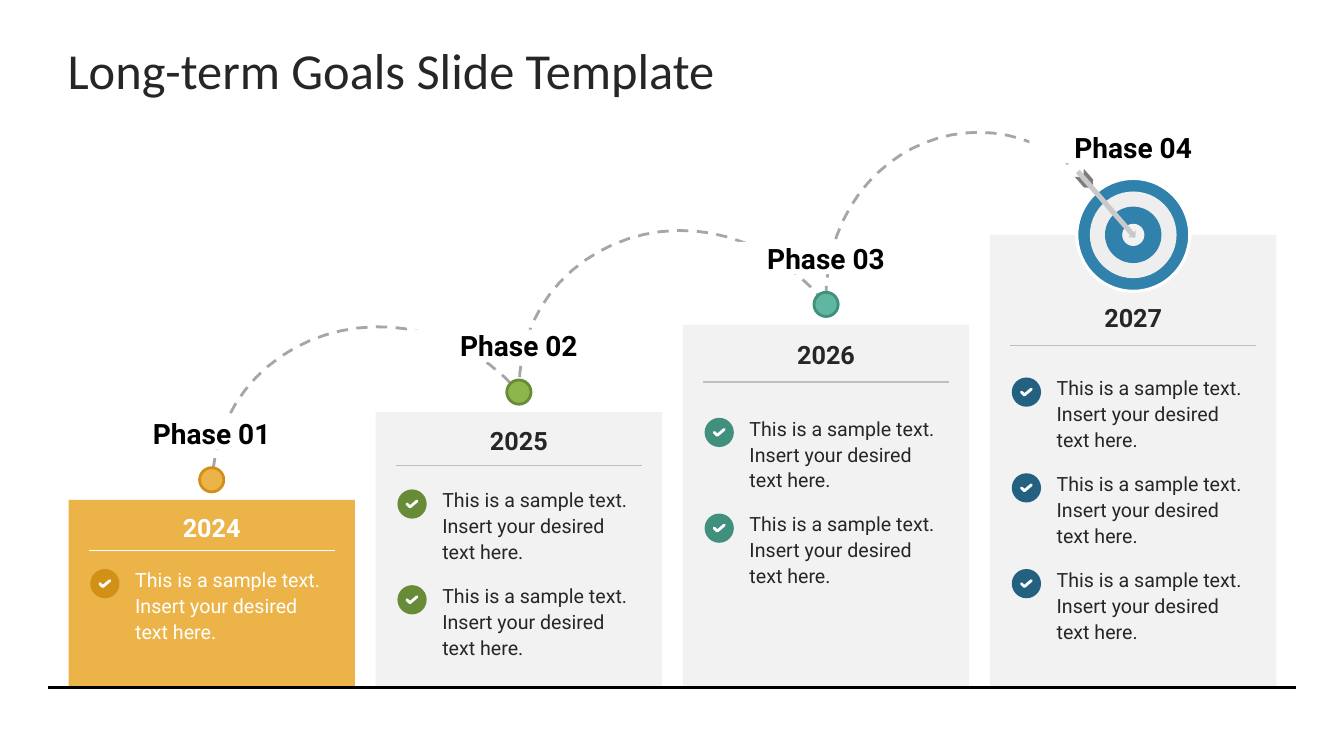
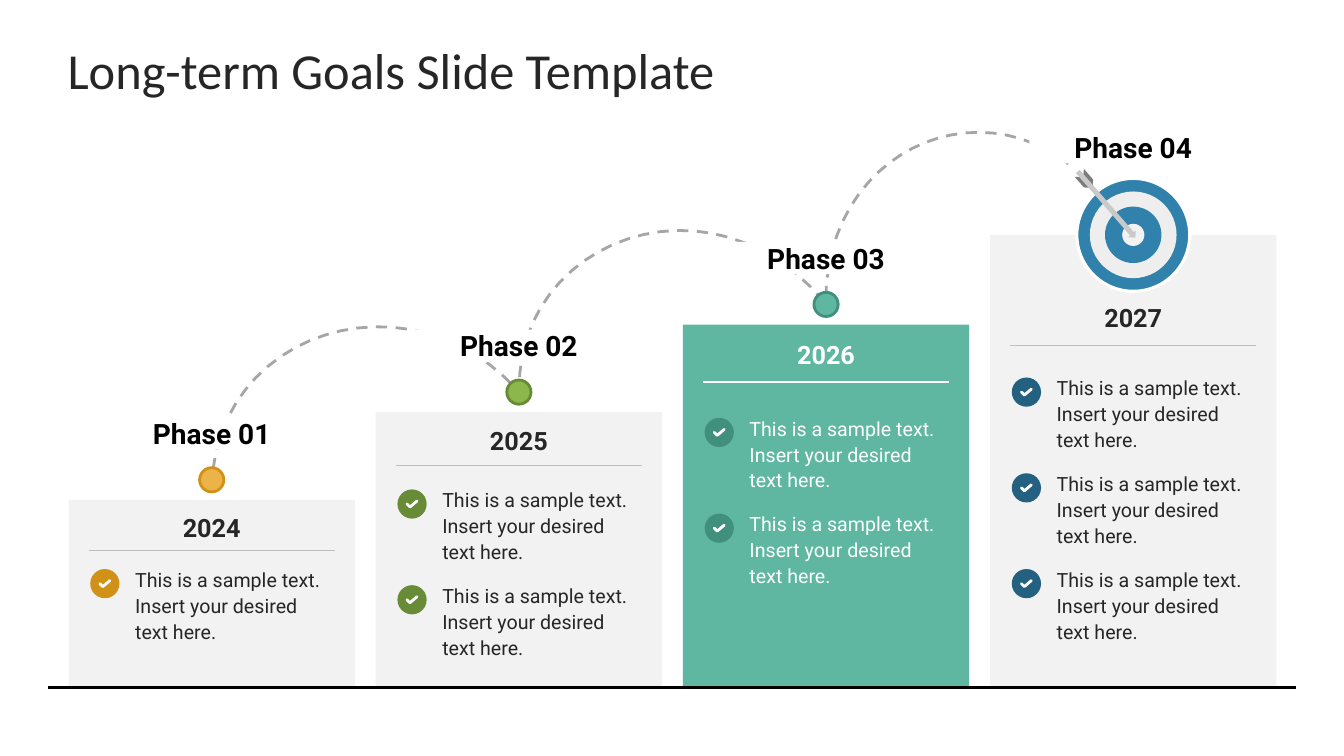
from collections import namedtuple

from lxml.etree import SubElement
from pptx import Presentation
from pptx.dml.color import RGBColor
from pptx.enum.dml import MSO_LINE
from pptx.enum.shapes import MSO_CONNECTOR, MSO_SHAPE
from pptx.enum.text import MSO_ANCHOR, MSO_AUTO_SIZE, PP_ALIGN
from pptx.oxml.ns import qn
from pptx.util import Inches, Pt

# Shared colours and fonts
WHITE = RGBColor(0xFF, 0xFF, 0xFF)
BLACK = RGBColor(0x00, 0x00, 0x00)
INK = RGBColor(0x26, 0x26, 0x26)
PANEL = RGBColor(0xF2, 0xF2, 0xF2)
RULE = RGBColor(0xBF, 0xBF, 0xBF)
TRAIL = RGBColor(0xA6, 0xA6, 0xA6)
RING = RGBColor(0xEE, 0xEE, 0xEE)
SHAFT = RGBColor(0xC9, 0xC9, 0xC9)
FLETCHING = RGBColor(0x7C, 0x7C, 0x7C)
AMBER, DARK_AMBER = RGBColor(0xEC, 0xB4, 0x48), RGBColor(0xD1, 0x91, 0x16)
GREEN, DARK_GREEN = RGBColor(0x8B, 0xB7, 0x4C), RGBColor(0x68, 0x8B, 0x38)
TEAL, DARK_TEAL = RGBColor(0x5F, 0xB7, 0xA2), RGBColor(0x41, 0x90, 0x7D)
BLUE, DARK_BLUE = RGBColor(0x30, 0x81, 0xAC), RGBColor(0x24, 0x61, 0x81)
TITLE_FONT, BODY_FONT = "Calibri", "Roboto"

# Column grid, in inches
SLIDE_W, SLIDE_H = 13.33, 7.5
FIRST_LEFT, LAST_RIGHT = 0.68, 12.66
CARD_W = 2.84
COLUMN_STEP = (LAST_RIGHT - FIRST_LEFT - CARD_W) / 3
BASELINE = 6.82
CARD_PAD = 0.2
GOAL_STEP = 0.95

TITLE = "Long-term Goals Slide Template"
GOAL = "This is a sample text. Insert your desired text here."

# Year, rule and goals are measured down from the top of the card
Phase = namedtuple("Phase", "label year top year_at rule_at goals_at goals accent dark")
PHASES = [
    Phase("Phase 01", "2024", 4.96, 0.12, 0.50, 0.65, 1, AMBER, DARK_AMBER),
    Phase("Phase 02", "2025", 4.09, 0.13, 0.53, 0.73, 2, GREEN, DARK_GREEN),
    Phase("Phase 03", "2026", 3.22, 0.15, 0.57, 0.89, 2, TEAL, DARK_TEAL),
    Phase("Phase 04", "2027", 2.33, 0.67, 1.10, 1.38, 3, BLUE, DARK_BLUE),
]

# Each hop: start, two control points, end
HOPS = [
    [(2.10, 4.85), (2.12, 3.29), (4.06, 2.66), (5.15, 3.89)],
    [(5.15, 3.89), (5.11, 2.39), (7.05, 1.63), (8.19, 3.01)],
    [(8.19, 3.01), (8.18, 1.52), (9.67, 0.85), (10.64, 1.66)],
]
HOP_STEPS = 24


def add_solid(shapes, preset, left, top, width, height, fill, line=None, line_pt=2):
    solid = shapes.add_shape(preset, Inches(left), Inches(top), Inches(width), Inches(height))
    solid.shadow.inherit = False
    solid.fill.solid()
    solid.fill.fore_color.rgb = fill
    if line is None:
        solid.line.fill.background()
    else:
        solid.line.color.rgb = line
        solid.line.width = Pt(line_pt)
    return solid


def add_disc(shapes, center_x, center_y, size, fill, line=None, line_pt=2):
    return add_solid(shapes, MSO_SHAPE.OVAL, center_x - size / 2, center_y - size / 2,
                     size, size, fill, line, line_pt)


def add_rule(shapes, left, right, y, color, width):
    rule = shapes.add_connector(MSO_CONNECTOR.STRAIGHT, Inches(left), Inches(y),
                                Inches(right), Inches(y))
    rule.line.color.rgb = color
    rule.line.width = Pt(width)
    SubElement(rule._element.spPr, qn("a:effectLst"))


def add_path(shapes, points, color):
    start, *rest = [(Inches(x), Inches(y)) for x, y in points]
    builder = shapes.build_freeform(*start)
    builder.add_line_segments(rest, close=False)
    outline = builder.convert_to_shape()
    outline.shadow.inherit = False
    outline.fill.background()
    outline.line.color.rgb = color
    outline.line.width = Pt(2)
    return outline


def set_text(holder, text, size, color, font=BODY_FONT, bold=False,
             align=PP_ALIGN.LEFT, anchor=MSO_ANCHOR.TOP, inset_y=0):
    frame = holder.text_frame
    frame.text = text
    frame.word_wrap = True
    frame.auto_size = MSO_AUTO_SIZE.NONE
    frame.vertical_anchor = anchor
    frame.margin_left = frame.margin_right = 0
    frame.margin_top = frame.margin_bottom = Inches(inset_y)
    paragraph = frame.paragraphs[0]
    paragraph.alignment = align
    run_font = paragraph.runs[0].font
    run_font.name, run_font.size, run_font.bold = font, Pt(size), bold
    run_font.color.rgb = color
    return paragraph


def add_text(shapes, left, top, width, height, *args, **style):
    box = shapes.add_textbox(Inches(left), Inches(top), Inches(width), Inches(height))
    return set_text(box, *args, **style)


def add_title(slide):
    title = slide.shapes.title
    title.left, title.top = Inches(0.67), Inches(0.3)
    title.width, title.height = Inches(12), Inches(0.78)
    set_text(title, TITLE, 36, INK, font=TITLE_FONT, anchor=MSO_ANCHOR.MIDDLE, inset_y=0.07)


def add_trail(slide):
    points = [HOPS[0][0]]
    for hop in HOPS:
        for step in range(1, HOP_STEPS + 1):
            t = step / HOP_STEPS
            weights = ((1 - t) ** 3, 3 * t * (1 - t) ** 2, 3 * t ** 2 * (1 - t), t ** 3)
            points.append(tuple(sum(w * p[axis] for w, p in zip(weights, hop))
                                for axis in (0, 1)))
    trail = add_path(slide.shapes, points, TRAIL)
    trail.line.dash_style = MSO_LINE.DASH


def add_goal(slide, left, top, text_color, badge_color):
    parts = slide.shapes.add_group_shape().shapes
    text = add_text(parts, left + 0.45, top, 1.98, 0.79, GOAL, 14, text_color)
    text.line_spacing = 1.1
    # Badge with tick
    x, y = left + 0.15, top + 0.18
    add_disc(parts, x, y, 0.29, badge_color)
    tick = add_path(parts, [(x + 0.05, y - 0.03), (x - 0.02, y + 0.03), (x - 0.05, y)], WHITE)
    tick.line._get_or_add_ln().set("cap", "rnd")


def add_card(slide, phase, left, highlighted):
    shapes = slide.shapes
    fill, ink, rule = (phase.accent, WHITE, WHITE) if highlighted else (PANEL, INK, RULE)
    add_solid(shapes, MSO_SHAPE.RECTANGLE, left, phase.top, CARD_W, BASELINE - phase.top, fill)
    add_text(shapes, left + 0.32, phase.top + phase.year_at, CARD_W - 0.64, 0.3, phase.year,
             18, ink, bold=True, align=PP_ALIGN.CENTER, anchor=MSO_ANCHOR.MIDDLE)
    add_rule(shapes, left + CARD_PAD, left + CARD_W - CARD_PAD,
             phase.top + phase.rule_at, rule, 0.75)
    for row in range(phase.goals):
        add_goal(slide, left + CARD_PAD + 0.01, phase.top + phase.goals_at + row * GOAL_STEP,
                 ink, phase.dark)


def add_phase_label(slide, label, center_x, top):
    width = 2.06
    plate = add_solid(slide.shapes, MSO_SHAPE.RECTANGLE, center_x - width / 2, top,
                      width, 0.32, WHITE)
    set_text(plate, label, 20, BLACK, bold=True, align=PP_ALIGN.CENTER,
             anchor=MSO_ANCHOR.MIDDLE)


def add_target(slide, center_x, center_y):
    rings = slide.shapes.add_group_shape().shapes
    add_disc(rings, center_x, center_y, 1.12, BLUE, WHITE, 2.25)
    for size, color in ((0.86, RING), (0.56, BLUE), (0.22, PANEL)):
        add_disc(rings, center_x, center_y, size, color)
    # Arrow stuck in the centre
    arrow = slide.shapes.add_group_shape().shapes
    for preset, dx, dy, width, height, color in (
            (MSO_SHAPE.CHEVRON, -0.57, -0.6, 0.2, 0.12, FLETCHING),
            (MSO_SHAPE.RIGHT_ARROW, -0.7, -0.35, 0.87, 0.1, SHAFT)):
        part = add_solid(arrow, preset, center_x + dx, center_y + dy, width, height, color)
        part.rotation = 49


def add_goals_slide(prs, layout, highlighted_year):
    slide = prs.slides.add_slide(layout)
    add_title(slide)
    add_trail(slide)
    for column, phase in enumerate(PHASES):
        left = FIRST_LEFT + column * COLUMN_STEP
        center_x = left + CARD_W / 2
        is_last = phase is PHASES[-1]
        add_card(slide, phase, left, phase.year == highlighted_year)
        add_phase_label(slide, phase.label, center_x, phase.top - (1.03 if is_last else 0.82))
        if is_last:
            add_target(slide, center_x, phase.top)
        else:
            add_disc(slide.shapes, center_x, phase.top - 0.2, 0.24, phase.accent, phase.dark)
    add_rule(slide.shapes, 0.48, 12.85, BASELINE, BLACK, 2)


def main():
    prs = Presentation()
    prs.slide_width, prs.slide_height = Inches(SLIDE_W), Inches(SLIDE_H)
    title_only = prs.slide_layouts[5]
    for year in ("2024", "2026"):
        add_goals_slide(prs, title_only, year)
    prs.save("out.pptx")


if __name__ == "__main__":
    main()
